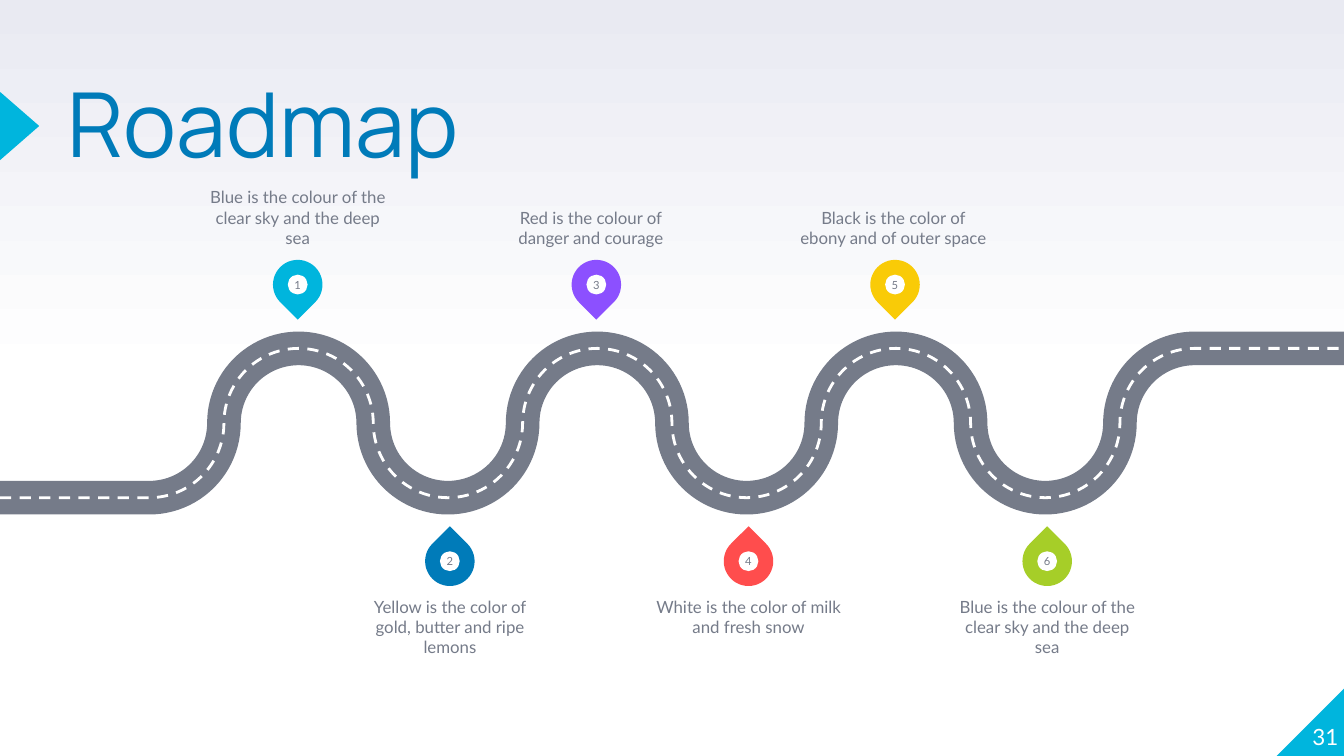
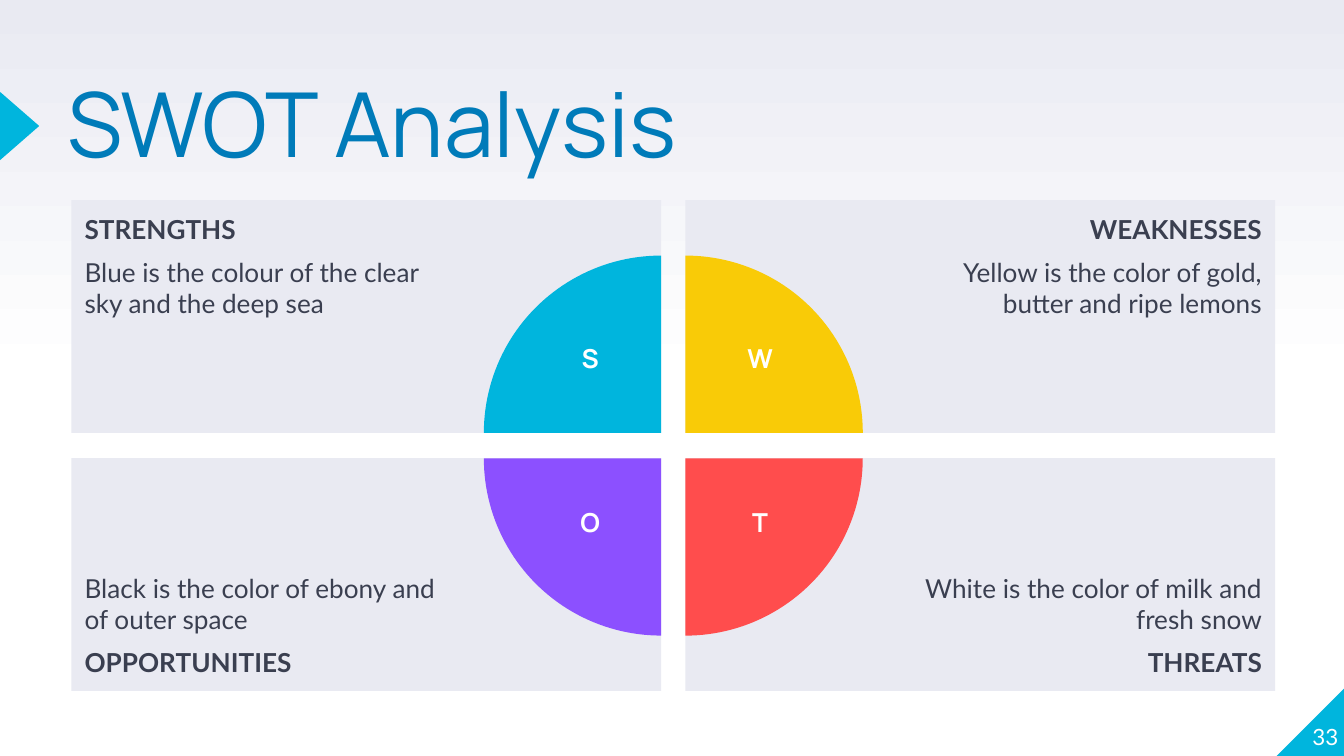
from copy import deepcopy
from dataclasses import dataclass
from itertools import cycle

from lxml.etree import SubElement
from pptx import Presentation
from pptx.dml.color import RGBColor
from pptx.enum.dml import MSO_LINE
from pptx.enum.shapes import MSO_SHAPE
from pptx.enum.text import MSO_ANCHOR, MSO_AUTO_SIZE, PP_ALIGN
from pptx.oxml.ns import qn
from pptx.util import Pt


@dataclass(frozen=True)
class Theme:
    cyan: str = "00B5DD"
    blue: str = "007BB9"
    purple: str = "8C50FF"
    red: str = "FF4D4D"
    yellow: str = "F9CB07"
    green: str = "A6CE28"
    white: str = "FFFFFF"
    mist: str = "E9EAF2"
    grey: str = "757B89"
    ink: str = "3A3F50"
    heading_font: str = "Manrope"
    body_font: str = "Lato"
    title_size: float = 48
    panel_size: float = 14
    page_size: float = 12
    label_size: float = 9
    pin_size: float = 6


@dataclass(frozen=True)
class Box:
    left: float
    top: float
    width: float
    height: float

    @classmethod
    def centred(cls, x, y, width, height):
        return cls(x - width / 2, y - height / 2, width, height)

    def points(self):
        return [Pt(v) for v in (self.left, self.top, self.width, self.height)]


THEME = Theme()
SLIDE = Box(0, 0, 720, 405)
TITLE = Box(36, 47.5, 444, 85)
ROAD = Box(0, 186.67, 720, 80)
SWOT = Box(38.2, 107.3, 645, 262.8)

# Number, colour, label, sideways shift of the label
MILESTONES = [
    ("1", THEME.cyan, "Blue is the colour of the clear sky and the deep sea", 0),
    ("2", THEME.blue, "Yellow is the color of gold, butter and ripe lemons", 0),
    ("3", THEME.purple, "Red is the colour of danger and courage", -3),
    ("4", THEME.red, "White is the color of milk and fresh snow", 0),
    ("5", THEME.yellow, "Black is the color of ebony and of outer space", -1),
    ("6", THEME.green, "Blue is the colour of the clear sky and the deep sea", 0),
]
# Column, row, pie rotation, colour, heading, text
QUADRANTS = [
    (0, 0, 0, THEME.cyan, "STRENGTHS",
     "Blue is the colour of the clear sky and the deep sea"),
    (1, 0, 90, THEME.yellow, "WEAKNESSES",
     "Yellow is the color of gold, butter and ripe lemons"),
    (0, 1, 270, THEME.purple, "OPPORTUNITIES",
     "Black is the color of ebony and of outer space"),
    (1, 1, 180, THEME.red, "THREATS",
     "White is the color of milk and fresh snow"),
]


def write_text(shape, *lines, size, color, font=THEME.body_font,
               align=PP_ALIGN.LEFT, anchor=MSO_ANCHOR.TOP, insets=(0, 0, 0, 0),
               bold_line=None, gap=0, line_spacing=None):
    frame = shape.text_frame
    frame.word_wrap = True
    frame.auto_size = MSO_AUTO_SIZE.NONE
    frame.vertical_anchor = anchor
    (frame.margin_left, frame.margin_top,
     frame.margin_right, frame.margin_bottom) = [Pt(v) for v in insets]
    for index, line in enumerate(lines):
        paragraph = frame.add_paragraph() if index else frame.paragraphs[0]
        paragraph.alignment = align
        if line_spacing:
            paragraph.line_spacing = line_spacing
        if index and gap:
            paragraph.space_before = paragraph.space_after = Pt(gap)
        run = paragraph.add_run()
        run.text = line
        run.font.name = font
        run.font.size = Pt(size)
        run.font.bold = index == bold_line
        run.font.color.rgb = RGBColor.from_string(color)


def add_block(shapes, kind, box, color, rotation=0):
    block = shapes.add_shape(kind, *box.points())
    block.shadow.inherit = False
    block.fill.solid()
    block.fill.fore_color.rgb = RGBColor.from_string(color)
    block.line.fill.background()
    block.rotation = rotation
    return block


def add_label(shapes, box, text, **text_format):
    label = shapes.add_textbox(*box.points())
    write_text(label, text, **text_format)


# Shared look: background, title place, corner and arrow
def style_layout(prs):
    layout = prs.slide_layouts[5]
    fill = prs.slide_master.background.fill
    fill.gradient()
    fill.gradient_angle = 90
    stops = next(prs.slide_master.element.iter(qn("a:gsLst")))
    stops.append(deepcopy(stops[0]))
    colors = (THEME.white, THEME.white, THEME.mist)
    for stop, position, color in zip(fill.gradient_stops, (0, 0.5, 1), colors):
        stop.position = position
        stop.color.rgb = RGBColor.from_string(color)
    for placeholder in list(layout.placeholders):
        if placeholder.placeholder_format.idx:
            placeholder.element.getparent().remove(placeholder.element)
    title = layout.placeholders[0]
    title.left, title.top, title.width, title.height = TITLE.points()
    return layout


def add_layout_marks(layout, slide):
    corner = add_block(slide.shapes, MSO_SHAPE.RIGHT_TRIANGLE,
                       Box(SLIDE.width - 36, SLIDE.height - 36.5, 36.5, 36.5),
                       THEME.cyan)
    next(corner.element.iter(qn("a:xfrm"))).set("flipH", "1")
    arrow = add_block(slide.shapes, MSO_SHAPE.ISOSCELES_TRIANGLE,
                      Box.centred(10.5, 67.5, 36.6, 21), THEME.cyan, 90)
    for mark in (arrow, corner):
        layout.shapes.element.insert(2, mark.element)


def start_slide(prs, layout, title, page):
    slide = prs.slides.add_slide(layout)
    if len(prs.slides) == 1:
        add_layout_marks(layout, slide)
    write_text(slide.shapes.title, title, size=THEME.title_size,
               color=THEME.blue, font=THEME.heading_font, line_spacing=0.8)
    add_label(slide.shapes, Box(SLIDE.width - 39, SLIDE.height - 40, 36, 36.7),
              page, size=THEME.page_size, color=THEME.white,
              align=PP_ALIGN.RIGHT, anchor=MSO_ANCHOR.BOTTOM)
    return slide


# Winding road: quarter arcs between two straight ends
def add_road(slide, box, color, width, dash=None):
    radius = box.height / 2
    bends = 14
    heights = cycle((radius, 0, radius, box.height))
    corners = [(radius * (2 + n), next(heights)) for n in range(1, bends + 1)]
    builder = slide.shapes.build_freeform(0, box.height, scale=Pt(1))
    builder.add_line_segments(
        [(2 * radius, box.height), *corners, (box.width, 0)], close=False)
    road = builder.convert_to_shape(Pt(box.left), Pt(box.top))
    segments = list(road.element.iter(qn("a:lnTo")))[1:-1]
    turns = cycle(((90, -90), (180, 90), (270, 90), (180, -90)))
    for segment, (start, sweep) in zip(segments, turns):
        arc = SubElement(segment.getparent(), qn("a:arcTo"))
        for key, value in (("wR", radius), ("hR", radius),
                           ("stAng", start * 60000), ("swAng", sweep * 60000)):
            arc.set(key, str(int(value)))
        segment.getparent().replace(segment, arc)
    road.shadow.inherit = False
    road.fill.background()
    road.line.color.rgb = RGBColor.from_string(color)
    road.line.width = Pt(width)
    if dash:
        road.line.dash_style = dash


def add_pin(slide, x, y, number, color, rotation):
    pin = slide.shapes.add_group_shape()
    add_block(pin.shapes, MSO_SHAPE.TEAR, Box.centred(x, y, 26.5, 26.5),
              color, rotation)
    dot = add_block(pin.shapes, MSO_SHAPE.OVAL, Box.centred(x, y, 10.6, 10.6),
                    THEME.white)
    write_text(dot, number, size=THEME.pin_size, color=THEME.grey,
               align=PP_ALIGN.CENTER, anchor=MSO_ANCHOR.MIDDLE)


def add_roadmap(slide, box):
    add_road(slide, box, THEME.grey, 18)
    add_road(slide, box, THEME.white, 1.5, MSO_LINE.DASH)
    for index, (number, color, text, shift) in enumerate(MILESTONES):
        above = index % 2 == 0
        x = box.left + box.height * (index + 2) + (-0.5 if above else 1)
        y = box.top + (-34.2 if above else box.height + 34)
        add_pin(slide, x, y, number, color, 135 if above else 315)
        label_y = box.top + (-75 if above else box.height + 74)
        add_label(slide.shapes, Box.centred(x + shift, label_y, 101.5, 42), text,
                  size=THEME.label_size, color=THEME.grey, align=PP_ALIGN.CENTER,
                  anchor=MSO_ANCHOR.BOTTOM if above else MSO_ANCHOR.TOP)


# SWOT: four panels, with a quarter pie at each inner corner
def add_swot(slide, box):
    width, height = 316, 124.6
    diameter = 190
    pies = []
    for column, row, rotation, color, heading, text in QUADRANTS:
        left = box.left + column * (box.width - width)
        top = box.top + row * (box.height - height)
        panel = add_block(slide.shapes, MSO_SHAPE.RECTANGLE,
                          Box(left, top, width, height), THEME.mist)
        lines = (text, heading) if row else (heading, text)
        write_text(panel, *lines, size=THEME.panel_size, color=THEME.ink,
                   align=PP_ALIGN.RIGHT if column else PP_ALIGN.LEFT,
                   anchor=MSO_ANCHOR.BOTTOM if row else MSO_ANCHOR.TOP,
                   insets=(108, 7.2, 7.2, 7.2) if column else (7.2, 7.2, 108, 7.2),
                   bold_line=row, gap=6)
        corner_x = left if column else left + width
        corner_y = top if row else top + height
        pies.append((corner_x, corner_y, rotation, color))
    for x, y, rotation, color in pies:
        pie = add_block(slide.shapes, MSO_SHAPE.PIE,
                        Box.centred(x, y, diameter, diameter), color, rotation)
        pie.adjustments[0], pie.adjustments[1] = 108, 162
    for (x, y, _, _), (column, row, _, _, heading, _) in zip(pies, QUADRANTS):
        letter_x = x + (40 if column else -38)
        letter_y = y + (36 if row else -38)
        add_label(slide.shapes, Box.centred(letter_x, letter_y, 44, 35),
                  heading[0], size=THEME.panel_size, color=THEME.white,
                  font=THEME.heading_font, align=PP_ALIGN.CENTER,
                  insets=(7.2, 7.2, 7.2, 7.2), bold_line=0)


def main():
    prs = Presentation()
    prs.slide_width, prs.slide_height = Pt(SLIDE.width), Pt(SLIDE.height)
    layout = style_layout(prs)
    add_roadmap(start_slide(prs, layout, "Roadmap", "31"), ROAD)
    add_swot(start_slide(prs, layout, "SWOT Analysis", "33"), SWOT)
    prs.save("out.pptx")


if __name__ == "__main__":
    main()
